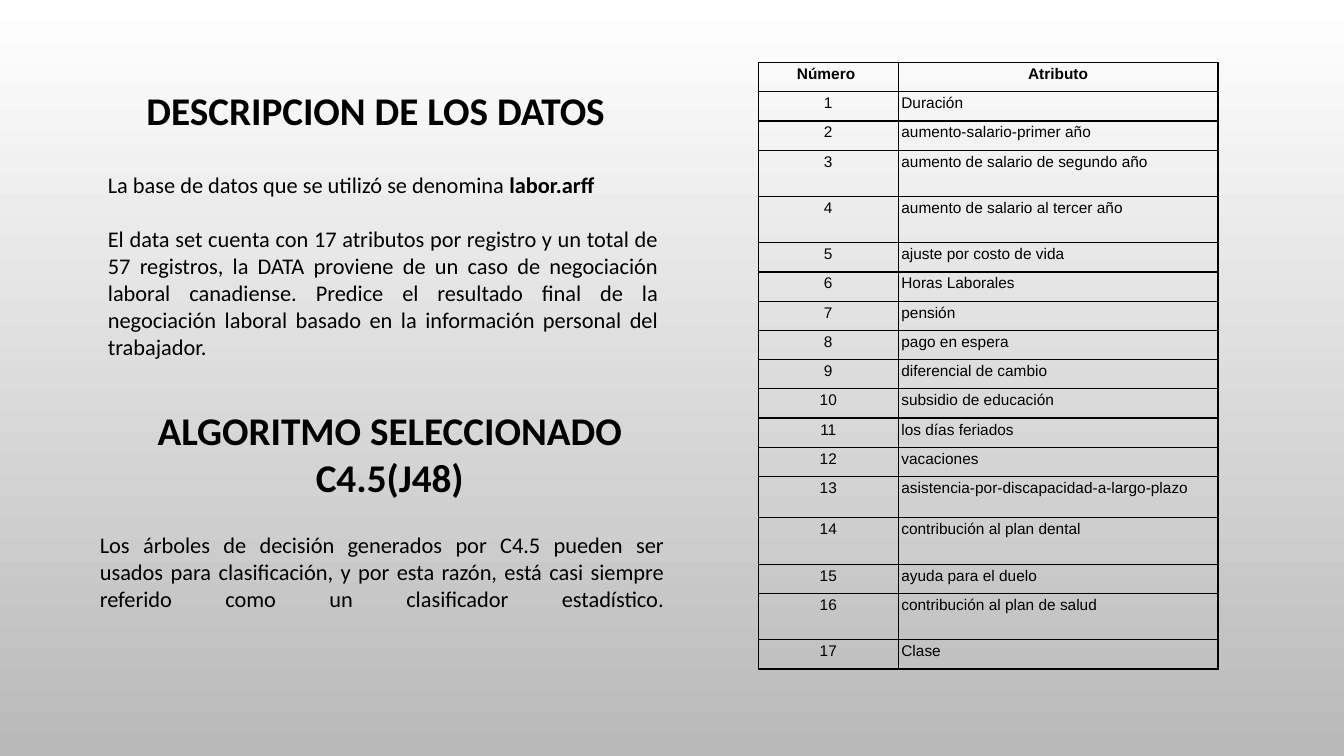
"""Build the slide on the labor data set, its attributes and the chosen algorithm."""
from lxml.etree import SubElement
from pptx import Presentation
from pptx.dml.color import RGBColor
from pptx.enum.text import MSO_ANCHOR as Anchor, MSO_AUTO_SIZE as AutoSize, PP_ALIGN as Align
from pptx.oxml.ns import qn
from pptx.util import Inches, Pt

BLACK = RGBColor(0, 0, 0)
WHITE = RGBColor(0xFF, 0xFF, 0xFF)
GRAY = RGBColor(0xB9, 0xB9, 0xB9)

DATA_HEADING = "DESCRIPCION DE LOS DATOS"
DATA_TEXT = [
    [("La base de datos que se utilizó se denomina ", False), ("labor.arff", True)],
    [("El data set cuenta con 17 atributos por registro y un total de 57 registros, "
      "la DATA proviene de un caso de negociación laboral canadiense. Predice el "
      "resultado final de la negociación laboral basado en la información personal "
      "del trabajador.", False)],
]
ALGORITHM_HEADING = "ALGORITMO SELECCIONADO C4.5(J48)"
ALGORITHM_TEXT = [
    [("Los árboles de decisión generados por C4.5 pueden ser usados para clasificación, "
      "y por esta razón, está casi siempre referido como un clasificador estadístico.\v",
      False)],
]
HEADER = ("Número\u00a0", "Atributo")
ATTRIBUTES = [
    "Duración\u00a0", "aumento-salario-primer año", "aumento de salario de segundo año",
    "aumento de salario al tercer año", "ajuste por costo de vida", "Horas Laborales",
    "pensión", "pago en espera", "diferencial de cambio", "subsidio de educación",
    "los días feriados", "vacaciones", "asistencia-por-discapacidad-a-largo-plazo",
    "contribución al plan dental", "ayuda para el duelo",
    "contribución al plan de salud", "Clase",
]
COLUMN_WIDTHS = (1.39, 3.17)
ROW_HEIGHT = 0.29
TALL_ROWS = {3: 0.46, 4: 0.46, 13: 0.41, 14: 0.46, 16: 0.46}


def place(box, left, top, width, height, anchor=Anchor.TOP):
    box.left, box.top, box.width, box.height = map(Inches, (left, top, width, height))
    frame = box.text_frame
    frame.word_wrap = True
    frame.auto_size = AutoSize.NONE
    frame.vertical_anchor = anchor
    return frame


def style(run, size, bold, font="Calibri"):
    run.font.size, run.font.bold, run.font.name = Pt(size), bold, font
    run.font.color.rgb = BLACK


def write_heading(frame, text):
    frame.text = text
    heading = frame.paragraphs[0]
    heading.alignment = Align.CENTER
    style(heading.runs[0], 28, True)


def write_body(frame, paragraphs):
    for index, pieces in enumerate(paragraphs):
        paragraph = frame.add_paragraph() if index else frame.paragraphs[0]
        paragraph.text = "".join(text for text, bold in pieces[:1])
        for text, bold in pieces[1:]:
            paragraph.add_run().text = text
        for run, (text, bold) in zip(paragraph.runs, pieces):
            style(run, 16, bold)
        paragraph.alignment = Align.JUSTIFY
        paragraph.space_before = Pt(19.5 if index else 0)
        properties = paragraph._p.get_or_add_pPr()
        properties.set("marL", "0")
        properties.set("indent", "0")
        SubElement(properties, qn("a:buNone"))


def write_cell(cell, text, centered, bold):
    cell.margin_left = cell.margin_right = Inches(0.03)
    cell.margin_top = cell.margin_bottom = Inches(0.03)
    cell.text = text
    paragraph = cell.text_frame.paragraphs[0]
    paragraph.alignment = Align.CENTER if centered else Align.LEFT
    style(paragraph.runs[0], 11, bold, "Arial")
    for side in ("lnL", "lnR", "lnT", "lnB"):
        border = SubElement(cell._tc.get_or_add_tcPr(), qn(f"a:{side}"), w=str(Pt(1)))
        fill = SubElement(border, qn("a:solidFill"))
        SubElement(fill, qn("a:srgbClr"), val=str(BLACK))
    cell.fill.background()


deck = Presentation()
deck.slide_width, deck.slide_height = Inches(13.33), Inches(7.5)
slide = deck.slides.add_slide(deck.slide_layouts.get_by_name("Two Content"))
title, data_body, algorithm_body = list(slide.placeholders)[:3]

backdrop = slide.background.fill
backdrop.gradient()
backdrop.gradient_angle = 270
for stop, color in zip(backdrop.gradient_stops, (WHITE, GRAY)):
    stop.color.rgb = color

write_heading(place(title, 1.22, 0.81, 5.01, 0.57), DATA_HEADING)
write_body(place(data_body, 0.97, 1.64, 5.66, 1.99, Anchor.MIDDLE), DATA_TEXT)
algorithm_heading = slide.shapes.add_textbox(0, 0, 0, 0)
write_heading(place(algorithm_heading, 0.97, 3.98, 5.79, 1.04), ALGORITHM_HEADING)
write_body(place(algorithm_body, 0.89, 5.22, 5.8, 1.21), ALGORITHM_TEXT)

rows = [HEADER] + [(str(number), name) for number, name in enumerate(ATTRIBUTES, 1)]
heights = [TALL_ROWS.get(number, ROW_HEIGHT) for number in range(len(rows))]
attribute_table = slide.shapes.add_table(
    len(rows), len(HEADER), Inches(7.52), Inches(0.62),
    Inches(sum(COLUMN_WIDTHS)), Inches(sum(heights))).table
attribute_table.horz_banding = False
attribute_table.first_row = False
for column, width in zip(attribute_table.columns, COLUMN_WIDTHS):
    column.width = Inches(width)
for number, (values, height) in enumerate(zip(rows, heights)):
    attribute_table.rows[number].height = Inches(height)
    for position, value in enumerate(values):
        is_header = number == 0
        write_cell(attribute_table.cell(number, position), value,
                   is_header or position == 0, is_header)

deck.save("out.pptx")
